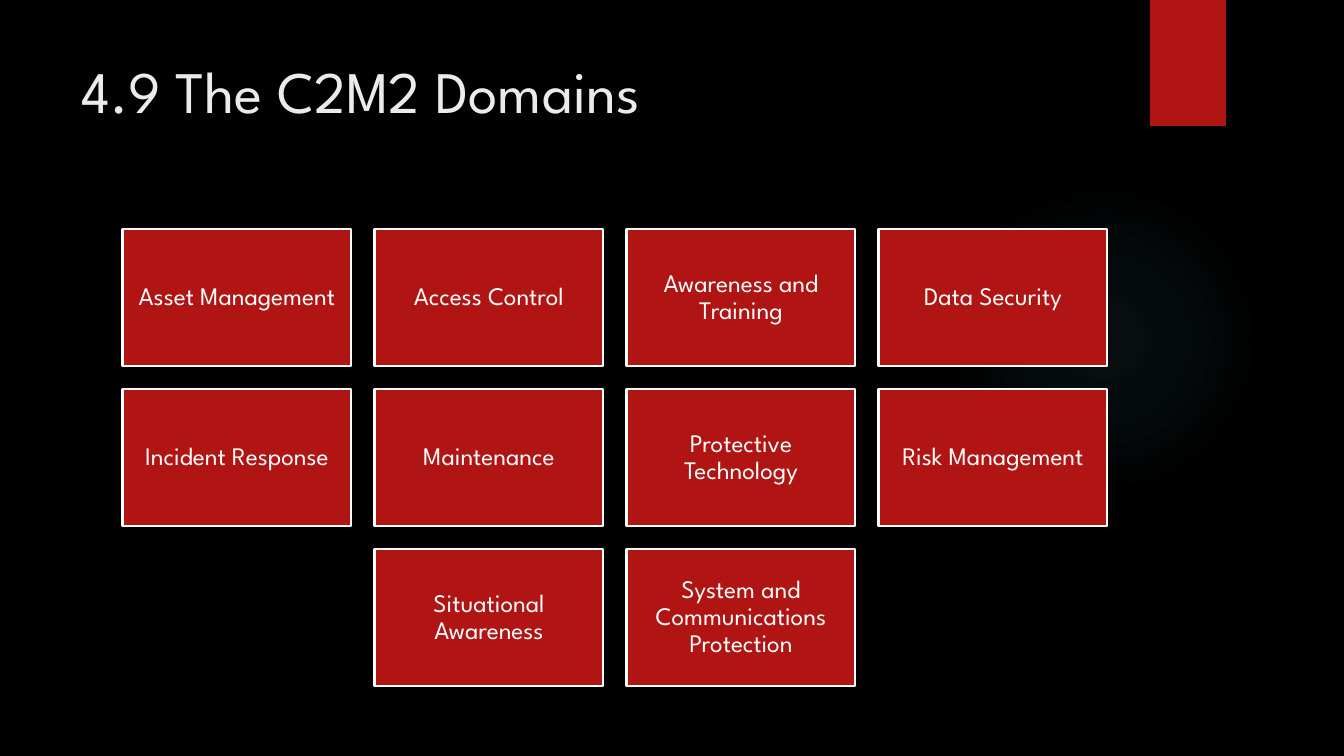
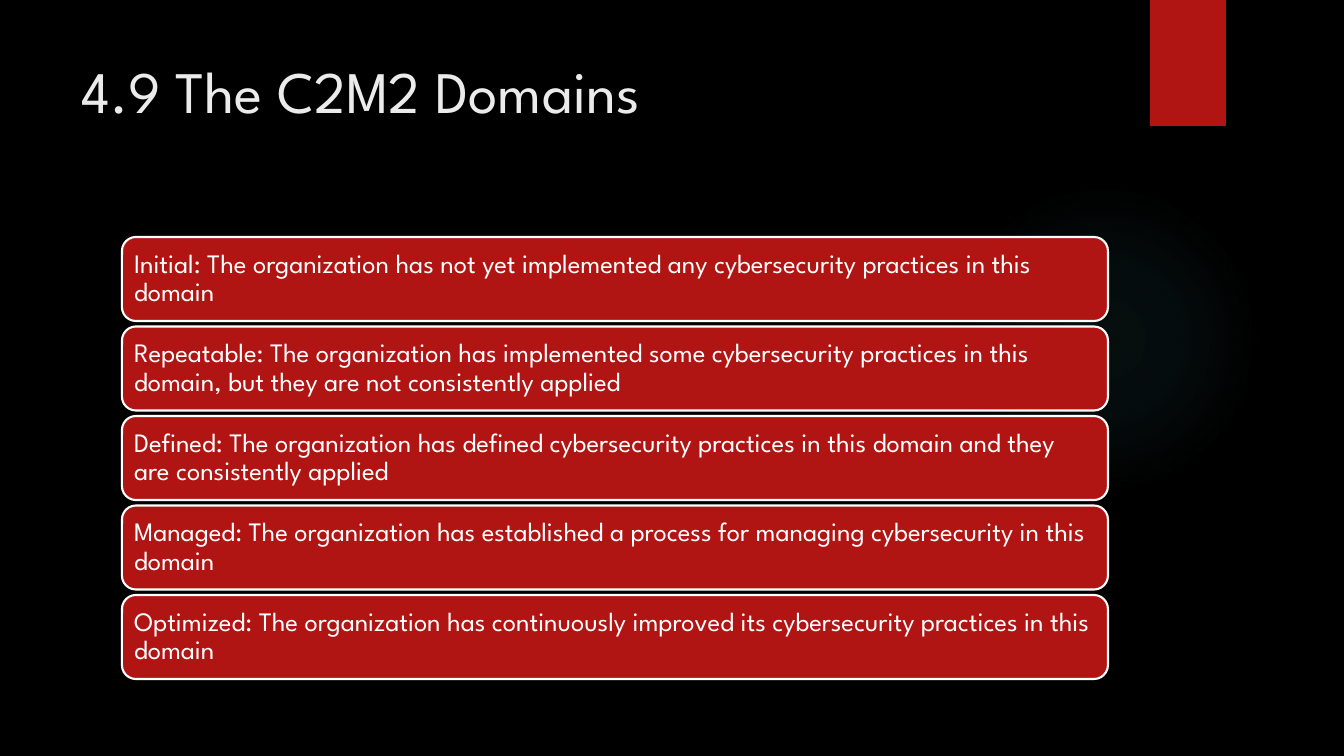
from pptx import Presentation
from pptx.dml.color import RGBColor
from pptx.enum.shapes import MSO_SHAPE as Shape
from pptx.enum.text import MSO_ANCHOR as Anchor, PP_ALIGN as Align
from pptx.oxml import parse_xml
from pptx.oxml.ns import nsdecls
from pptx.util import Emu, Pt

TITLE = "4.9 The C2M2 Domains"
DOMAINS = [
    ["Asset Management", "Access Control", "Awareness and Training", "Data Security"],
    ["Incident Response", "Maintenance", "Protective Technology", "Risk Management"],
    ["Situational Awareness", "System and Communications Protection"],
]
LEVELS = [
    ("Initial", "The organization has not yet implemented any cybersecurity practices in this domain"),
    ("Repeatable", "The organization has implemented some cybersecurity practices in this domain, "
                   "but they are not consistently applied"),
    ("Defined", "The organization has defined cybersecurity practices in this domain "
                "and they are consistently applied"),
    ("Managed", "The organization has established a process for managing cybersecurity in this domain"),
    ("Optimized", "The organization has continuously improved its cybersecurity practices in this domain"),
]

FONT = "League Spartan"
COLORS = {"back": "000000", "red": "B01513", "white": "FFFFFF", "title": "EBEBEB", "glow": "50B9C1"}
GLOW_STOPS = [(0, 7), (36, 6), (69, 0)]  # position and opacity, in percent

WIDE, HIGH = 1344, 756
SCALE = 12192000 / WIDE
LEFT, SPAN = 122, 986
CARD = {"top": 229, "wide": 229, "high": 137, "gap": 23}
BAR = {"top": 237, "bottom": 679, "high": 84}


def px(num):
    return Emu(round(num * SCALE))


def color(name):
    return RGBColor.from_string(COLORS[name])


def add_box(slide, kind, x, y, w, h, fill="red", line=None):
    box = slide.shapes.add_shape(kind, px(x), px(y), px(w), px(h))
    box.shadow.inherit = False
    box.fill.solid()
    box.fill.fore_color.rgb = color(fill)
    if line:
        box.line.color.rgb = color(line)
        box.line.width = Pt(1.5)
    else:
        box.line.fill.background()
    return box


def put_text(shape, text, size, tint="white", align=Align.LEFT, anchor=Anchor.MIDDLE,
             inset=(8, 8), spacing=0.9):
    frame = shape.text_frame
    frame.word_wrap = True
    frame.vertical_anchor = anchor
    frame.margin_left = frame.margin_right = px(inset[0])
    frame.margin_top = frame.margin_bottom = px(inset[1])
    para = frame.paragraphs[0]
    para.alignment = align
    para.line_spacing = spacing
    run = para.add_run()
    run.text = text
    run.font.name = FONT
    run.font.size = Pt(size)
    run.font.color.rgb = color(tint)


def add_glow(slide):
    """Add the faint round light that fades out towards its rim."""
    glow = add_box(slide, Shape.OVAL, 949, 184, 310, 310, fill="glow")
    stops = "".join(
        f'<a:gs pos="{pos * 1000}"><a:srgbClr val="{COLORS["glow"]}">'
        f'<a:alpha val="{alpha * 1000}"/></a:srgbClr></a:gs>'
        for pos, alpha in GLOW_STOPS)
    grad = parse_xml(
        f'<a:gradFill {nsdecls("a")}><a:gsLst>{stops}</a:gsLst><a:path path="circle">'
        '<a:fillToRect l="50000" t="50000" r="50000" b="50000"/></a:path></a:gradFill>')
    props = glow.element.spPr
    props.replace(props.find("{*}solidFill"), grad)


def add_slide(deck):
    """Add a slide with the shared background, ribbon and title."""
    slide = deck.slides.add_slide(deck.slide_layouts[6])
    slide.background.fill.solid()
    slide.background.fill.fore_color.rgb = color("back")
    add_glow(slide)
    add_box(slide, Shape.RECTANGLE, 1150, 0, 76, 126)
    title = slide.shapes.add_textbox(px(72), px(50), px(1037), px(154))
    put_text(title, TITLE, 42, tint="title", anchor=Anchor.TOP, inset=(10, 5), spacing=1)
    return slide


def add_domains(slide):
    wide, high, gap = CARD["wide"], CARD["high"], CARD["gap"]
    for row, names in enumerate(DOMAINS):
        used = len(names) * (wide + gap) - gap
        start = LEFT + (SPAN - used) / 2
        y = CARD["top"] + row * (high + gap)
        for col, name in enumerate(names):
            x = start + col * (wide + gap)
            card = add_box(slide, Shape.RECTANGLE, x, y, wide, high, line="white")
            put_text(card, name, 18, align=Align.CENTER, inset=(7, 7))


def add_levels(slide):
    high = BAR["high"]
    step = (BAR["bottom"] - BAR["top"] - high) / (len(LEVELS) - 1)
    for row, (name, text) in enumerate(LEVELS):
        y = BAR["top"] + row * step
        bar = add_box(slide, Shape.ROUNDED_RECTANGLE, LEFT, y, SPAN, high, line="white")
        put_text(bar, f"{name}: {text}", 19)


def main():
    deck = Presentation()
    deck.slide_width, deck.slide_height = px(WIDE), px(HIGH)
    for fill_slide in (add_domains, add_levels):
        fill_slide(add_slide(deck))
    deck.save("out.pptx")


if __name__ == "__main__":
    main()
